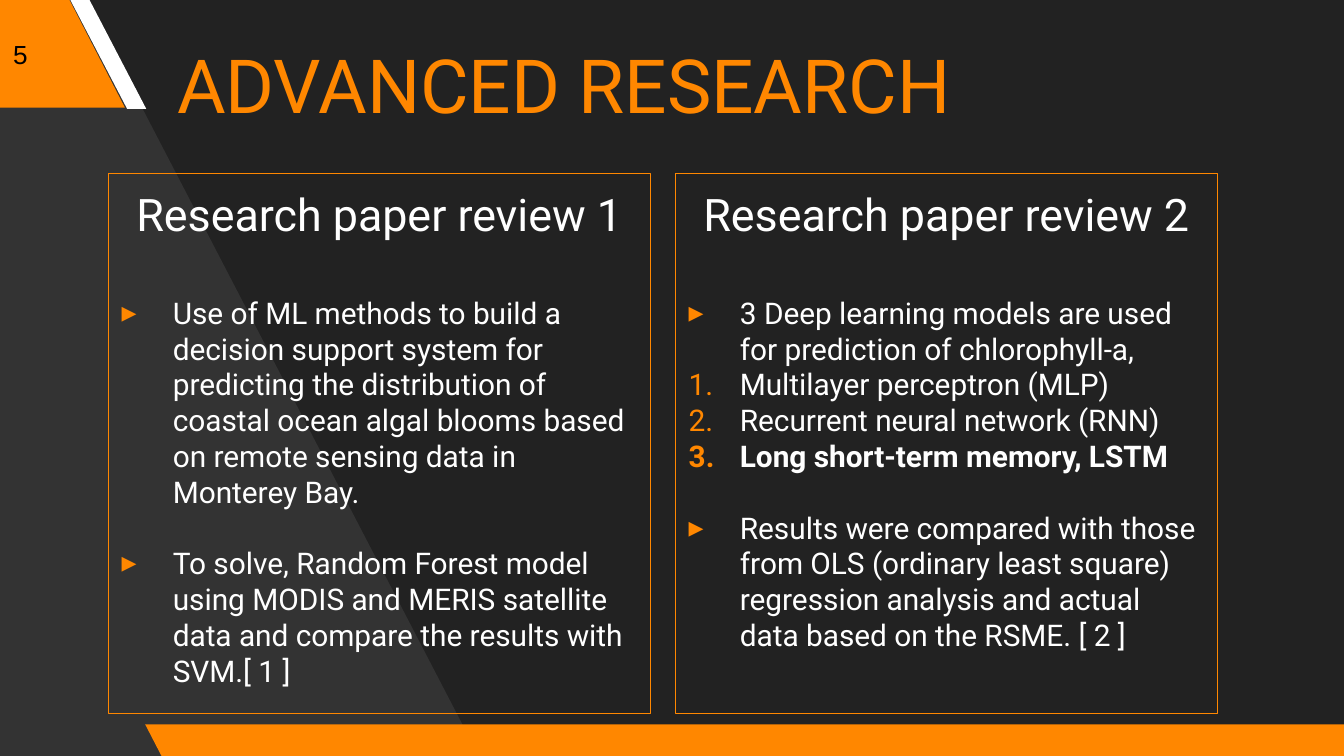
from lxml import etree
from pptx import Presentation
from pptx.dml.color import RGBColor
from pptx.enum.shapes import MSO_SHAPE
from pptx.enum.text import MSO_ANCHOR, PP_ALIGN
from pptx.oxml.ns import qn
from pptx.util import Pt

PARALLELOGRAM = MSO_SHAPE.PARALLELOGRAM
RECTANGLE = MSO_SHAPE.RECTANGLE
MIDDLE, TOP = MSO_ANCHOR.MIDDLE, MSO_ANCHOR.TOP
LEFT, CENTER = PP_ALIGN.LEFT, PP_ALIGN.CENTER

ORANGE, WHITE, BLACK = "FF8700", "FFFFFF", "000000"
BACKGROUND, WEDGE = "222222", "333333"
FONT = "Roboto"
INSET, INDENT = 7.2, 27.4
HEADING_GAP, ITEM_GAP = 28.8, 19.2

WEDGE_POINTS = [(256.3, 404.6), (44.6, -2.9), (-4.3, -2.9), (-1.4, 407.5)]
BANDS = [
    (-71.3, -1.4, 138.2, 59, 0.515, ORANGE),
    (37.4, -0.7, 41, 59, 0.75, WHITE),
    (77.8, 388.1, 658.8, 18, 0.515, ORANGE),
]
PANEL_LEFT, PANEL_TOP, PANEL_WIDTH, PANEL_HEIGHT = 58.1, 92.9, 290.2, 289.4
PANEL_STEP = 303.8

PANELS = [
    ("Research paper review 1", [
        ("bullet", "Use of ML methods to build a decision support system for predicting "
                   "the distribution of coastal ocean algal blooms based on remote "
                   "sensing data in Monterey Bay."),
        ("bullet", "To solve, Random Forest model using MODIS and MERIS satellite data "
                   "and compare the results with SVM.[ 1 ]"),
    ]),
    ("Research paper review 2", [
        ("bullet", "3 Deep learning models are used for prediction of chlorophyll-a,"),
        ("number", "Multilayer perceptron (MLP)"),
        ("number", "Recurrent neural network (RNN)"),
        ("bold number", "Long short-term memory, LSTM"),
        ("bullet", "Results were compared with those from OLS (ordinary least square) "
                   "regression analysis and actual data based on the RSME. [ 2 ]"),
    ]),
]


def color(value):
    return RGBColor.from_string(value)


def paint(shape, value):
    shape.shadow.inherit = False
    shape.fill.solid()
    shape.fill.fore_color.rgb = color(value)
    shape.line.fill.background()


def prepare_frame(shape, anchor):
    frame = shape.text_frame
    frame.word_wrap = True
    frame.vertical_anchor = anchor
    frame.margin_left = frame.margin_right = Pt(INSET)
    frame.margin_top = frame.margin_bottom = Pt(INSET)
    return frame


def write(paragraph, text, size, value, font=FONT, align=LEFT, bold=False):
    paragraph.text = text
    paragraph.alignment = align
    for run in paragraph.runs:
        run.font.size = Pt(size)
        run.font.name = font
        run.font.bold = bold
        run.font.color.rgb = color(value)


def add_marker(paragraph, numbered):
    properties = paragraph._p.get_or_add_pPr()
    properties.set("marL", str(Pt(INDENT)))
    properties.set("indent", str(-Pt(INDENT)))
    marker_color = etree.SubElement(properties, qn("a:buClr"))
    etree.SubElement(marker_color, qn("a:srgbClr"), val=ORANGE)
    etree.SubElement(properties, qn("a:buFont"), typeface=FONT)
    if numbered:
        etree.SubElement(properties, qn("a:buAutoNum"), type="arabicPeriod")
    else:
        etree.SubElement(properties, qn("a:buChar"), char="▸")


def add_label(slide, box, text, size, value, font):
    label = slide.shapes.add_textbox(*map(Pt, box))
    frame = prepare_frame(label, MIDDLE)
    write(frame.paragraphs[0], text, size, value, font)


def add_panel(slide, left, heading, items):
    panel = slide.shapes.add_shape(
        RECTANGLE, Pt(left), Pt(PANEL_TOP), Pt(PANEL_WIDTH), Pt(PANEL_HEIGHT))
    panel.shadow.inherit = False
    panel.fill.background()
    panel.line.color.rgb = color(ORANGE)
    panel.line.width = Pt(0.25)
    frame = prepare_frame(panel, TOP)
    write(frame.paragraphs[0], heading, 24, WHITE, align=CENTER)
    for index, (kind, text) in enumerate(items):
        paragraph = frame.add_paragraph()
        if index == 0:
            paragraph.space_before = Pt(HEADING_GAP)
        elif kind == "bullet":
            paragraph.space_before = Pt(ITEM_GAP)
        add_marker(paragraph, "number" in kind)
        write(paragraph, text, 16, WHITE, bold="bold" in kind)


def main():
    presentation = Presentation()
    presentation.slide_width, presentation.slide_height = Pt(720), Pt(405)
    slide = presentation.slides.add_slide(presentation.slide_layouts[6])
    slide.background.fill.solid()
    slide.background.fill.fore_color.rgb = color(BACKGROUND)

    points = [(Pt(x), Pt(y)) for x, y in WEDGE_POINTS]
    builder = slide.shapes.build_freeform(*points[0])
    builder.add_line_segments(points[1:], close=True)
    paint(builder.convert_to_shape(), WEDGE)

    for *box, slant, value in BANDS:
        band = slide.shapes.add_shape(PARALLELOGRAM, *map(Pt, box))
        band.adjustments[0] = slant
        band._element.spPr.find(qn("a:xfrm")).set("flipH", "1")
        paint(band, value)

    add_label(slide, (0, 0, 46.8, 57.6), "5", 14, BLACK, "Arial")
    add_label(slide, (87.8, 10.1, 616.3, 69.8), "ADVANCED RESEARCH", 40, ORANGE, FONT)
    for index, (heading, items) in enumerate(PANELS):
        add_panel(slide, PANEL_LEFT + index * PANEL_STEP, heading, items)

    presentation.save("out.pptx")


if __name__ == "__main__":
    main()
